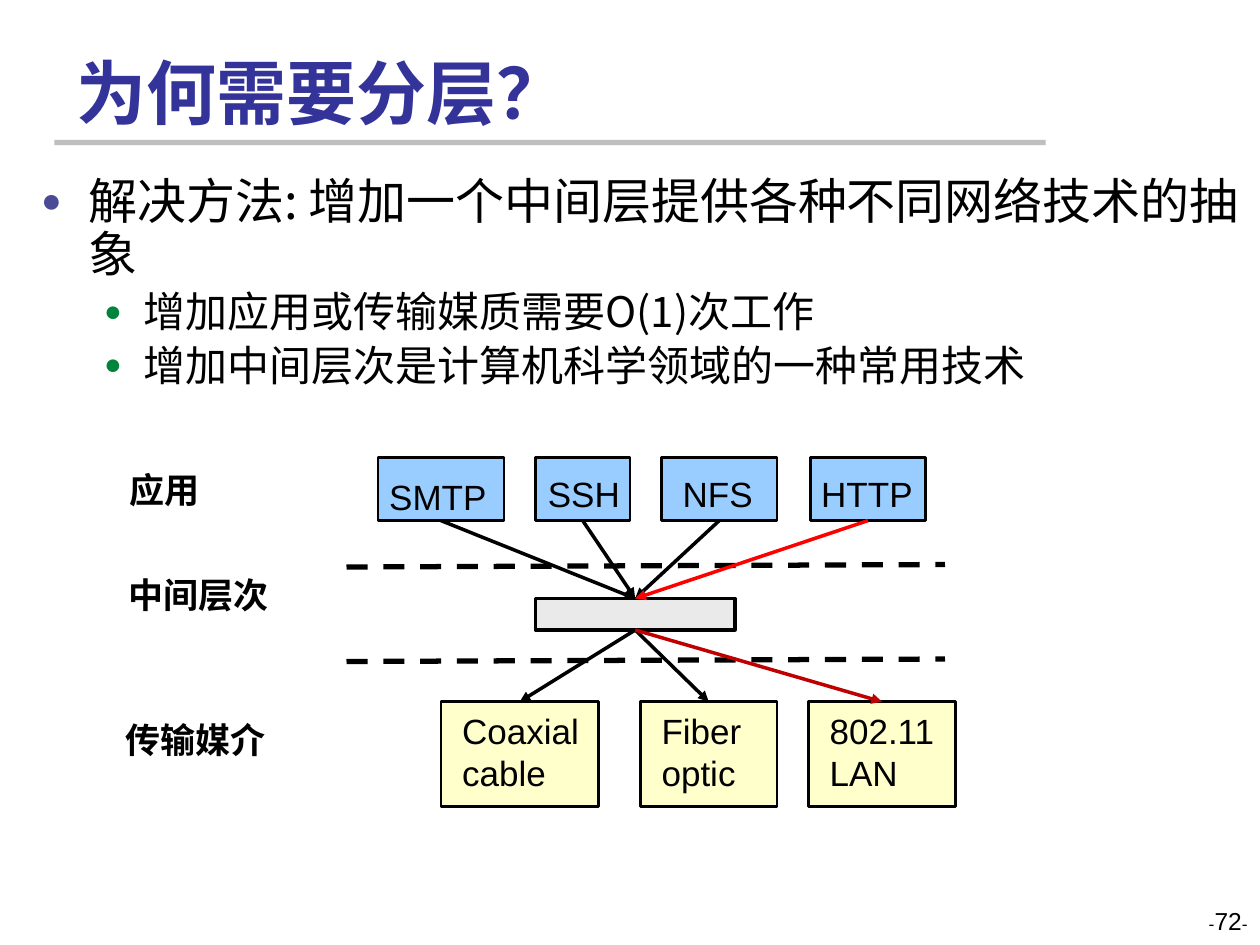
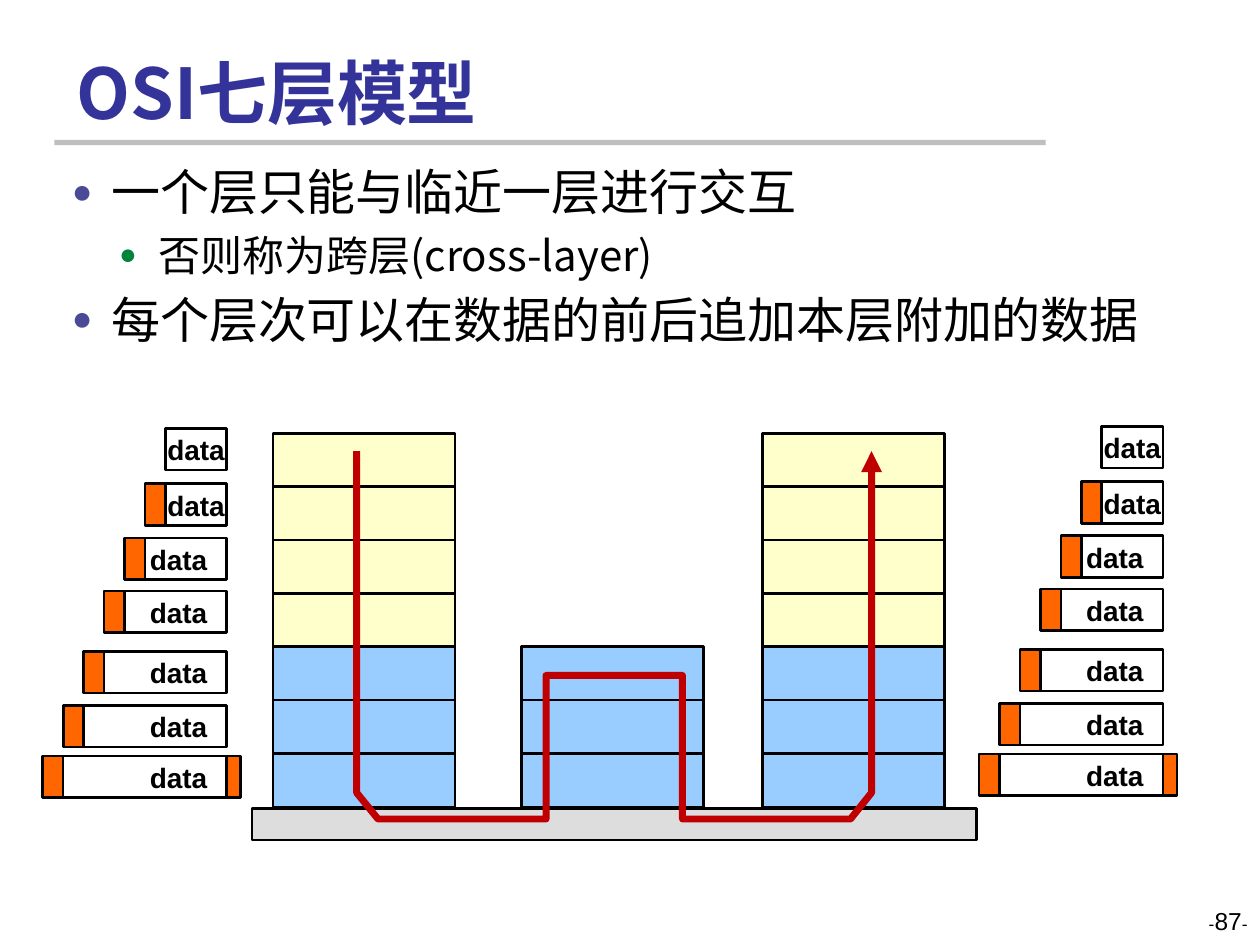
from dataclasses import dataclass

from lxml import etree
from pptx import Presentation
from pptx import util as u
from pptx.dml import color as c
from pptx.enum import dml, shapes, text
from pptx.oxml import ns

Pt = u.Pt


@dataclass(frozen=True)
class Theme:
    title: str = "333399"
    ink: str = "000000"
    rule: str = "BFBFBF"
    bullets: tuple = ("4A4A97", "00843C")
    blue: str = "99CCFF"
    yellow: str = "FFFFCC"
    middle: str = "EAEAEA"
    cable: str = "DDDDDD"
    header: str = "FF6600"
    red: str = "FF0000"
    dark_red: str = "C00000"
    latin: str = "Arial"
    cjk: str = "Noto Sans CJK SC"
    title_size: int = 40
    body_sizes: tuple = (28, 24)
    label_size: int = 20
    data_size: int = 16
    page_size: int = 14
    dash_size: int = 10


T = Theme()


def rgb(value):
    return c.RGBColor.from_string(value)


def sub(parent, tag, **attrs):
    return etree.SubElement(parent, ns.qn(tag), attrs)


def write(p, content, size=T.label_size, color=T.ink, bold=False, font=T.latin):
    r = p.add_run()
    r.text = content
    r.font.size = Pt(size)
    r.font.bold = bold
    r.font.color.rgb = rgb(color)
    r.font.name = font
    sub(r.font._element, "a:ea", typeface=T.cjk)


def frame(s, x, y, w, h, wrap=True, anchor=text.MSO_ANCHOR.TOP):
    tf = s.shapes.add_textbox(Pt(x), Pt(y), Pt(w), Pt(h)).text_frame
    tf.word_wrap = wrap
    tf.vertical_anchor = anchor
    return tf


def label(s, content, x, y, w, h, **fmt):
    tf = frame(s, x, y, w, h, wrap=False)
    for i, line in enumerate(content.split("\n")):
        write(tf.add_paragraph() if i else tf.paragraphs[0], line, **fmt)


def box(s, x, y, w, h, fill=None, line=T.ink, width=1.5):
    sp = s.shapes.add_shape(shapes.MSO_SHAPE.RECTANGLE, Pt(x), Pt(y), Pt(w), Pt(h))
    sp.shadow.inherit = False
    if fill:
        sp.fill.solid()
        sp.fill.fore_color.rgb = rgb(fill)
    else:
        sp.fill.background()
    if line:
        sp.line.color.rgb = rgb(line)
        sp.line.width = Pt(width)
    else:
        sp.line.fill.background()
    return sp


def stroke(sp, color, width, arrow=False):
    sp.line.color.rgb = rgb(color)
    sp.line.width = Pt(width)
    if arrow:
        sub(sp._element.spPr.get_or_add_ln(), "a:tailEnd", type="triangle")


def connector(s, x1, y1, x2, y2):
    cn = s.shapes.add_connector(
        shapes.MSO_CONNECTOR.STRAIGHT, Pt(x1), Pt(y1), Pt(x2), Pt(y2))
    return cn


def finish_connector(cn, color, width, arrow=False):
    stroke(cn, color, width, arrow)
    sub(cn._element.spPr, "a:effectLst")


def arrow(s, start, end, color):
    cn = connector(s, 0, 0, 0, 0)
    cn.begin_connect(start, 2)
    cn.end_connect(end, 0)
    finish_connector(cn, color, 2, arrow=True)


def dashed_line(s, x1, y1, x2, y2):
    cn = connector(s, x1, y1, x2, y2)
    cn.line.dash_style = dml.MSO_LINE.DASH
    finish_connector(cn, T.ink, 3)


def bullet_list(s, items, x, y, w, h, indents, leading):
    tf = frame(s, x, y, w, h)
    for i, (level, content) in enumerate(items):
        p = tf.add_paragraph() if i else tf.paragraphs[0]
        size = T.body_sizes[level]
        left, hang = indents[level]
        pPr = p._p.get_or_add_pPr()
        pPr.set("marL", str(Pt(left)))
        pPr.set("indent", str(-Pt(hang)))
        sub(sub(pPr, "a:buClr"), "a:srgbClr", val=T.bullets[level])
        sub(pPr, "a:buSzPct", val="70000")
        sub(pPr, "a:buFont", typeface=T.latin)
        sub(pPr, "a:buChar", char="●")
        p.level = level
        p.line_spacing = Pt(round(size * leading, 1))
        if i:
            p.space_before = Pt(round(size * 0.2, 1))
        write(p, content, size=size, font=T.cjk)


def base_slide(prs, title, number):
    s = prs.slides.add_slide(prs.slide_layouts[6])
    box(s, 31, 80, 566.5, 3, T.rule, line=None)
    tf = frame(s, 36.7, 20, 594, 56.5, anchor=text.MSO_ANCHOR.BOTTOM)
    tf.margin_bottom = 0
    write(tf.paragraphs[0], title, T.title_size, T.title, True, T.cjk)
    p = frame(s, 552, 514, 168, 36).paragraphs[0]
    p.alignment = text.PP_ALIGN.RIGHT
    for part, size in (("-", T.dash_size), (number, T.page_size), ("-", T.dash_size)):
        write(p, part, size=size)
    return s


def layering_slide(prs):
    s = base_slide(prs, "为何需要分层？", "72")
    bullet_list(s, [
        (0, "解决方法: 增加一个中间层提供各种不同网络技术的抽象"),
        (1, "增加应用或传输媒质需要O(1)次工作"),
        (1, "增加中间层次是计算机科学领域的一种常用技术"),
    ], 16.5, 97.5, 703.5, 140, ((27, 27), (58.5, 22.5)), 1.08)

    for name, x, y, w in (("应用", 67, 264, 55), ("中间层次", 66.5, 324, 95),
                          ("传输媒介", 64.5, 407, 95)):
        label(s, name, x, y, w, 32, bold=True)
    for y in (324, 378):
        dashed_line(s, 198, y, 540, y - 1.4)

    middle = box(s, 306, 342, 114, 18, T.middle, width=2)
    apps = (("SMTP", 216, 72, 215.3, 268, 75.6, T.ink),
            ("SSH", 306, 54, 306, 266.5, 55.4, T.ink),
            ("NFS", 378, 66, 383, 266.5, 54.7, T.ink),
            ("HTTP", 463, 66, 462.2, 266.5, 67, T.red))
    for name, x, w, label_x, label_y, label_w, color in apps:
        app = box(s, x, 261.5, w, 36, T.blue)
        label(s, name, label_x, label_y, label_w, 31)
        arrow(s, app, middle, color)
    media = (("Coaxial\ncable", 252, 90, 88, T.ink),
             ("Fiber\noptic", 366, 78, 60.5, T.ink),
             ("802.11\nLAN", 462, 84, 75, T.dark_red))
    for name, x, w, label_w, color in media:
        medium = box(s, x, 401, w, 60, T.yellow)
        label(s, name, x + 5, 402, label_w, 55.5)
        arrow(s, middle, medium, color)


def tower(s, x, first_layer):
    for layer in range(first_layer, 7):
        box(s, x, 247.6 + 30.5 * layer, 104, 31, T.yellow if layer < 4 else T.blue)


def packets(s, right, rise):
    header_w, h = 11.7, 23.8
    tops = (244.8, 276.5, 307.4, 337.7, 372.2, 403.2, 432)
    for i, top in enumerate(tops):
        y = top - rise
        w = 35 + header_w * max(i - 1, 0)
        label(s, "data", right - (41 if i < 2 else 51), y - 1, 47.5, 26.6,
              size=T.data_size, bold=True)
        box(s, right - w, y, w, h)
        if i:
            box(s, right - w - header_w, y, header_w, h, T.header)
    box(s, right, y, 7.9, h, T.header)


def data_route(s):
    points = [(203.8, 257.8), (203.8, 453), (216, 468), (312, 468), (312, 386),
              (390, 386), (390, 468), (486, 468), (498, 453), (498, 257.8)]
    start, *rest = [(Pt(x), Pt(y)) for x, y in points]
    fb = s.shapes.build_freeform(*start)
    fb.add_line_segments(rest, close=False)
    sp = fb.convert_to_shape()
    sp.shadow.inherit = False
    sp.fill.background()
    stroke(sp, T.dark_red, 4, arrow=True)


def osi_slide(prs):
    s = base_slide(prs, "OSI七层模型", "87")
    bullet_list(s, [
        (0, "一个层只能与临近一层进行交互"),
        (1, "否则称为跨层(cross-layer)"),
        (0, "每个层次可以在数据的前后追加本层附加的数据"),
    ], 34, 89, 672, 138, ((22.5, 22.5), (49.5, 22.5)), 1.2)
    box(s, 144, 462, 414, 18, T.cable)
    for x, first_layer in ((156, 0), (298, 4), (435.6, 0)):
        tower(s, x, first_layer)
    packets(s, 129.6, 0)
    packets(s, 664.6, 1.2)
    data_route(s)


def main():
    prs = Presentation()
    prs.slide_width, prs.slide_height = Pt(720), Pt(540)
    layering_slide(prs)
    osi_slide(prs)
    prs.save("out.pptx")


if __name__ == "__main__":
    main()
